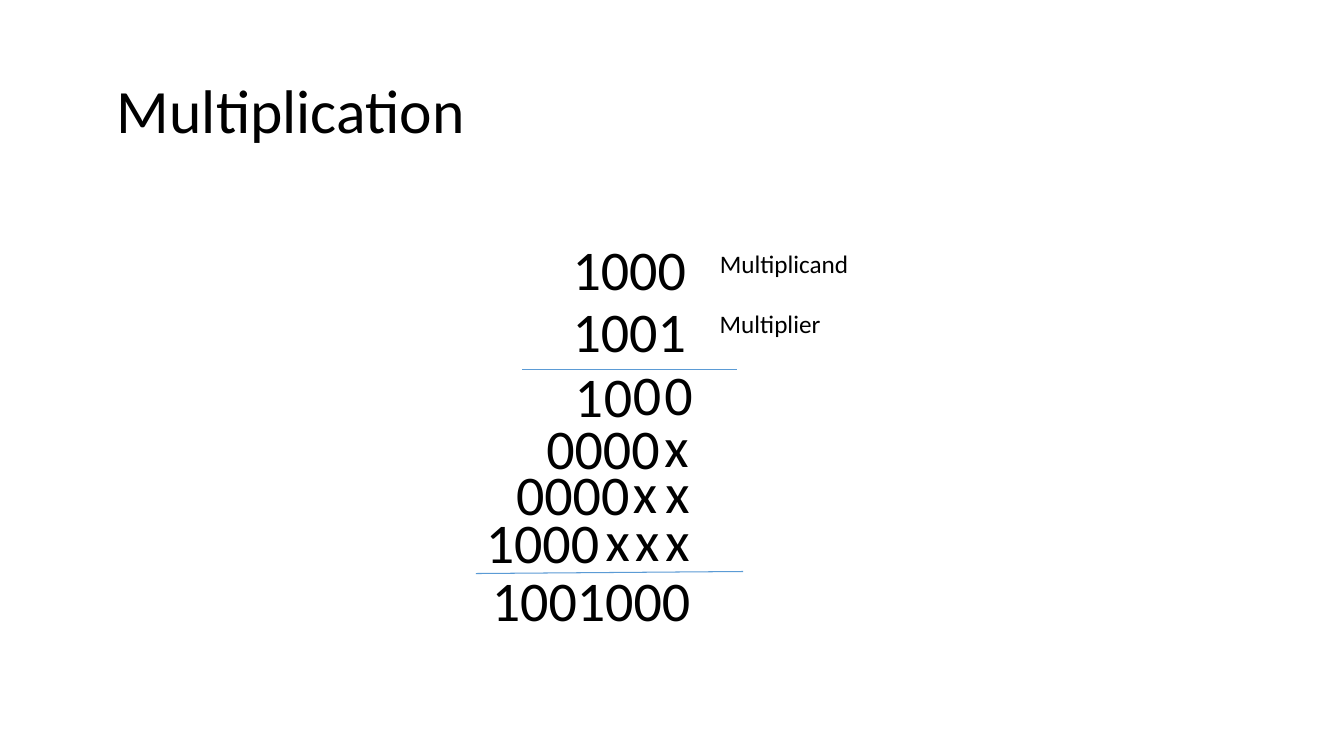
from dataclasses import dataclass

from lxml import etree
from pptx import Presentation
from pptx import util as u
from pptx.dml.color import RGBColor
from pptx.enum import shapes, text
from pptx.oxml.ns import qn

WIDTH, HEIGHT = 13.33, 7.5
CELL = 0.47  # width of a box around one character
ROW = 0.77  # height of a line of digits
GROUP = 1.34  # width of a box around four digits
GROUP_LEFT, SHIFT = 5.32, 0.3  # first shifted product, and the step to the next
RAISE = 0.02  # placeholders sit slightly above their digit group
BLACK, BLUE = "000000", "5B9BD5"


@dataclass
class Label:
    content: str
    left: float
    top: float
    width: float
    height: float = ROW
    size: int = 40


@dataclass
class Product:
    """A shifted partial product and the left edges of its x placeholders."""
    digits: str
    top: float
    marks: tuple[float, ...]


@dataclass
class Rule:
    start: tuple[float, float]
    end: tuple[float, float]


OPERANDS = [Label("1000", 5.58, 2.28, 4.92), Label("1001", 5.58, 2.89, 4.92)]
FIRST_PRODUCT = [("0", 5.89, 3.54), ("1", 5.6, 3.54), ("0", 6.18, 3.52), ("0", 6.49, 3.52)]
PRODUCTS = [Product("0000", 4.05, (6.49,)),
            Product("0000", 4.51, (6.5, 6.18)),
            Product("1000", 4.99, (5.91, 6.2, 6.5))]
RESULT = Label("1001000", 4.78, 5.56, 3.06)
RULES = [Rule((5.18, 3.67), (7.31, 3.67)), Rule((4.72, 5.69), (7.37, 5.67))]
NAMES = [Label("Multiplicand", 7.04, 2.41, 1.71, 0.4, 18),
         Label("Multiplier", 7.04, 3.01, 1.57, 0.4, 18)]


def rgb(value: str) -> RGBColor:
    return RGBColor.from_string(value)


def add_text(slide, label: Label, *, color: str = BLACK, font: str = "Calibri",
             anchor=text.MSO_ANCHOR.TOP, fit=text.MSO_AUTO_SIZE.SHAPE_TO_FIT_TEXT,
             inset: float = 0.1, spacing: float | None = None) -> None:
    sp = slide.shapes.add_textbox(*map(u.Inches, (label.left, label.top, label.width, label.height)))
    tf = sp.text_frame
    tf.word_wrap = True
    tf.auto_size = fit
    tf.vertical_anchor = anchor
    tf.margin_left = u.Inches(inset)
    p = tf.paragraphs[0]
    p.line_spacing = spacing
    r = p.add_run()
    r.text = label.content
    r.font.name = font
    r.font.size = u.Pt(label.size)
    r.font.color.rgb = rgb(color)


def add_rule(slide, rule: Rule, color: str = BLUE) -> None:
    line = slide.shapes.add_connector(shapes.MSO_CONNECTOR.STRAIGHT,
                                      *map(u.Inches, rule.start + rule.end))
    line.line.color.rgb = rgb(color)
    line.line.width = u.Pt(0.75)
    etree.SubElement(line._element.spPr, qn("a:effectLst"))


def partial_products() -> list[Label]:
    """Single digits first, then the shifted groups, then their placeholders."""
    digits = [Label(digit, left, top, CELL) for digit, left, top in FIRST_PRODUCT]
    groups = [Label(product.digits, GROUP_LEFT - i * SHIFT, product.top, GROUP)
              for i, product in enumerate(PRODUCTS)]
    marks = [Label("x", left, product.top - RAISE, CELL)
             for product in PRODUCTS for left in product.marks]
    return digits + groups + marks


def main() -> None:
    prs = Presentation()
    prs.slide_width, prs.slide_height = u.Inches(WIDTH), u.Inches(HEIGHT)
    slide = prs.slides.add_slide(prs.slide_layouts[6])

    add_text(slide, Label("Multiplication", 0.92, 0.4, 11.5, 1.45, 44),
             anchor=text.MSO_ANCHOR.MIDDLE, fit=text.MSO_AUTO_SIZE.NONE,
             inset=0.24, spacing=0.9)
    for label in OPERANDS + partial_products() + [RESULT]:
        add_text(slide, label)
    for rule in RULES:
        add_rule(slide, rule)
    for name in NAMES:
        add_text(slide, name)
    prs.save("out.pptx")


if __name__ == "__main__":
    main()
